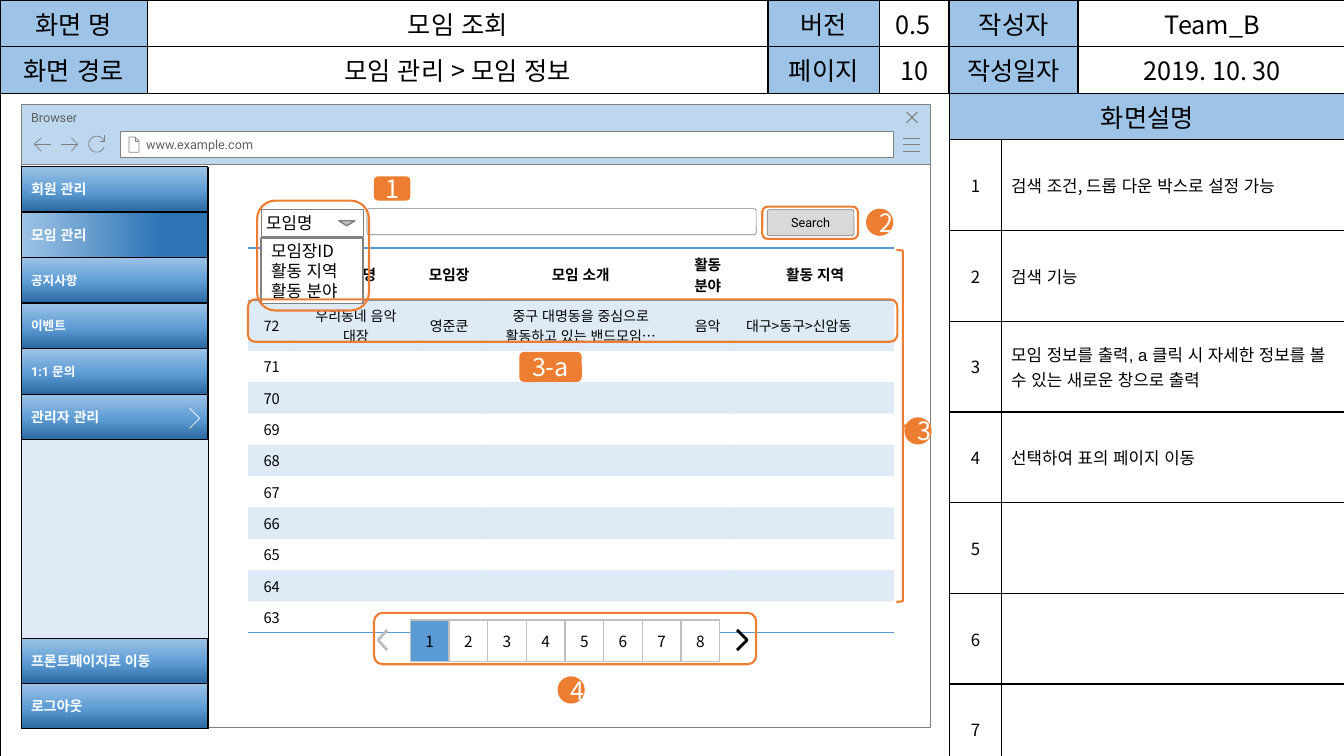
"""Builds the group lookup screen specification slide."""
from math import cos, sin, radians
from lxml.etree import SubElement
from pptx import Presentation
from pptx.dml.color import RGBColor
from pptx.enum.lang import MSO_LANGUAGE_ID as LANG
from pptx.enum.shapes import MSO_SHAPE as SHAPE
from pptx.enum.text import MSO_ANCHOR as ANCHOR, PP_ALIGN as ALIGN
from pptx.oxml.ns import qn
from pptx.util import Inches, Pt

BLACK = RGBColor(0, 0, 0)
WHITE = RGBColor(255, 255, 255)
GRAY = RGBColor(0x80, 0x80, 0x80)
SILVER = RGBColor(0xBF, 0xBF, 0xBF)
LIGHT = RGBColor(0xD9, 0xD9, 0xD9)
DARK = RGBColor(0x5F, 0x5F, 0x5F)
HEAD = RGBColor(0x9D, 0xC3, 0xE6)
SKY = RGBColor(0xBD, 0xD7, 0xEE)
PALE = RGBColor(0xDE, 0xEB, 0xF7)
BLUE = RGBColor(0x5B, 0x9B, 0xD5)
ORANGE = RGBColor(0xED, 0x7D, 0x31)
NOTO, ROBOTO, ARIAL = "Noto Sans CJK KR", "Roboto", "Arial"
NO_STYLE = "{2D5ABB26-0587-4C30-8999-92F81FD0307C}"

BASE = [["화면 명", "", "버전", "0.5", "작성자", "Team_B"],
        ["화면 경로", "", "페이지", "", "작성일자", "2019. 10. 30"]]
TITLES = [["화면 명", "모임 조회", "버전", "", "작성자", "", ""],
          ["화면 경로", "모임 관리 > 모임 정보", "페이지", "10", "작성일자", "", ""]]
NOTES = [("검색 조건, 드롭 다운 박스로 설정 가능", NOTO), ("검색 기능", NOTO),
         ("모임 정보를 출력, a 클릭 시 자세한 정보를 볼 수 있는 새로운 창으로 출력", ARIAL),
         ("선택하여 표의 페이지 이동", ARIAL), ("", NOTO), ("", NOTO), ("", NOTO)]
GROUPS = [["NO", "모임명", "모임장", "모임 소개", "활동 분야", "활동 지역", ""],
          ["72", "우리동네 음악 대장", "영준쿤", "중구 대명동을 중심으로 활동하고 있는 밴드모임…",
           "음악", "대구>동구>신암동", ""]]
GROUPS += [[str(no)] + [""] * 6 for no in range(71, 62, -1)]
MENU = [("회원 관리", 10), ("모임 관리", 10), ("공지사항", 9), ("이벤트", 9),
        ("1:1 문의", 9), ("관리자 관리", 10)]
LINKS = [("프론트페이지로 이동", 10), ("로그아웃", 10)]
CHOICES = ["모임장ID", "활동 지역", "활동 분야"]
DEEP = [(0, "2A69A2"), (48, "609ED6"), (100, "9DC3E6")]
PICKED = [(0, "2E75B6"), (25, "2E75B6"), (100, "9DC3E6")]
FRAMES = [(3.71, 6.08, 3.79, 0.51), (2.46, 2.97, 6.44, 0.42),
          (2.55, 1.99, 1.11, 1.09), (7.56, 2.05, 0.95, 0.32)]
BADGES = [("3", SHAPE.OVAL, 8.97, 4.14, 0.27, 0.27), ("4", SHAPE.OVAL, 5.53, 6.71, 0.27, 0.27),
          ("2", SHAPE.OVAL, 8.59, 2.07, 0.27, 0.27),
          ("3-a", SHAPE.ROUNDED_RECTANGLE, 5.15, 3.49, 0.62, 0.3),
          ("1", SHAPE.ROUNDED_RECTANGLE, 3.71, 1.75, 0.36, 0.24)]
ARC = [(0.96 + 0.08 * cos(radians(a)), 1.43 + 0.08 * sin(radians(a))) for a in range(20, 341, 20)]
ICONS = [(GRAY, 0.5, [[(8.96, y), (9.13, y)] for y in (1.37, 1.43, 1.5)]),
         (GRAY, 0.75, [[(9.1, 1.11), (8.99, 1.22)], [(8.99, 1.11), (9.1, 1.22)]]),
         (GRAY, 0.5, [[(1.34, 1.36), (1.34, 1.4), (1.38, 1.4)],
                      [(1.28, 1.36), (1.28, 1.51), (1.38, 1.51), (1.38, 1.4),
                       (1.34, 1.36), (1.28, 1.36)]]),
         (GRAY, 0.5, [[(0.41, 1.5), (0.34, 1.43), (0.41, 1.37)], [(0.35, 1.43), (0.51, 1.43)]]),
         (GRAY, 0.5, [[(0.71, 1.37), (0.77, 1.43), (0.71, 1.5)], [(0.77, 1.43), (0.61, 1.43)]]),
         (GRAY, 0.5, [[(1.04, 1.34), (1.04, 1.4), (0.99, 1.4)], ARC])]
ARROWS = [(BLACK, 2, [[(7.31, 6.45), (7.41, 6.35), (7.31, 6.25)]]),
          (SILVER, 2, [[(3.84, 6.25), (3.75, 6.35), (3.84, 6.45)]])]
MORE = (WHITE, 0.5, [[(1.88, 4.25), (1.98, 4.15), (1.88, 4.05)]])

deck = Presentation()
deck.slide_width, deck.slide_height = Inches(13.33), Inches(7.5)
slide = deck.slides.add_slide(deck.slide_layouts[6])
shapes = slide.shapes


def write(frame, lines, size, font=NOTO, color=BLACK, bold=False, align=ALIGN.CENTER):
    for i, line in enumerate(lines):
        para = frame.add_paragraph() if i else frame.paragraphs[0]
        para.alignment = align
        if not line:
            SubElement(para._p, qn("a:endParaRPr"), sz=str(int(size * 100)))
            continue
        run = para.add_run()
        run.text = line
        run.font.size, run.font.name, run.font.bold = Pt(size), font, bold
        run.font.color.rgb = color
        run.font.language_id = LANG.KOREAN
        SubElement(run._r.get_or_add_rPr(), qn("a:ea"), typeface=NOTO)


def paint(shape, fill, line, width):
    shape.shadow.inherit = False
    if fill is None:
        shape.fill.background()
    else:
        shape.fill.solid()
        shape.fill.fore_color.rgb = fill
    if line is None:
        shape.line.fill.background()
    else:
        shape.line.color.rgb = line
        shape.line.width = Pt(width)


def add(kind, x, y, w, h, fill=None, line=None, width=0.5, left=0.1, right=0.1, anchor=ANCHOR.MIDDLE):
    shape = shapes.add_shape(kind, Inches(x), Inches(y), Inches(w), Inches(h))
    paint(shape, fill, line, width)
    frame = shape.text_frame
    frame.word_wrap, frame.vertical_anchor = True, anchor
    frame.margin_left, frame.margin_right = Inches(left), Inches(right)
    return shape


def draw(color, width, strokes):
    pen = None
    for stroke in strokes:
        pts = [(Inches(x), Inches(y)) for x, y in stroke]
        if pen is None:
            pen = shapes.build_freeform(*pts[0], scale=1.0)
        else:
            pen.move_to(*pts[0])
        pen.add_line_segments(pts[1:], close=False)
    paint(pen.convert_to_shape(), None, color, width)


def grid(x, y, cols, rows):
    table = shapes.add_table(len(rows), len(cols), Inches(x), Inches(y),
                             Inches(sum(cols)), Inches(sum(rows))).table
    table.first_row = table.horz_banding = False
    table._tbl.tblPr.find(qn("a:tableStyleId")).text = NO_STYLE
    for col, w in zip(table.columns, cols):
        col.width = Inches(w)
    for row, h in zip(table.rows, rows):
        row.height = Inches(h)
    return table


def fill_cell(cell, text, size, fill=None, edges="LRTB", color=BLACK, alpha=100, **style):
    props = cell._tc.get_or_add_tcPr()
    for edge in edges:
        ln = SubElement(props, qn("a:ln" + edge), w=str(Pt(1)))
        SubElement(SubElement(ln, qn("a:solidFill")), qn("a:srgbClr"), val=str(color))
    cell.vertical_anchor = ANCHOR.MIDDLE
    if fill is None:
        cell.fill.background()
    else:
        cell.fill.solid()
        cell.fill.fore_color.rgb = fill
        if alpha < 100:
            tint = props.find(qn("a:solidFill")).find(qn("a:srgbClr"))
            SubElement(tint, qn("a:alpha"), val=str(alpha * 1000))
    write(cell.text_frame, [text], size, **style)


def button(text, size, y, stops=DEEP, angle=90):
    shape = add(SHAPE.RECTANGLE, 0.21, y, 1.85, 0.45, WHITE, BLACK, right=0.25)
    shape.fill.gradient()
    shape.fill.gradient_angle = angle
    ramp = shape._element.spPr.find(qn("a:gradFill")).find(qn("a:gsLst"))
    for old in list(ramp):
        ramp.remove(old)
    for pos, tint in stops:
        SubElement(SubElement(ramp, qn("a:gs"), pos=str(pos * 1000)), qn("a:srgbClr"), val=tint)
    write(shape.text_frame, [text], size, ROBOTO, WHITE, True, ALIGN.LEFT)


base = grid(-0.01, 0, [1.46, 6.16, 1.1, 0.7, 1.29, 2.65], [0.4] * 2)
for r, row in enumerate(BASE):
    for c, text in enumerate(row):
        fill_cell(base.cell(r, c), text, 18, HEAD if c in (0, 2, 4) else None)

sheet = grid(0, 0, [1.46, 6.16, 1.1, 0.7, 0.51, 0.76, 2.65], [0.41] * 3 + [0.9] * 7)
for r in range(10):
    for c in range(7):
        text, size, fill, style = "", 12, None, {}
        if r < 2:
            text, size, fill = TITLES[r][c], 18, HEAD if c in (0, 2, 4, 5) else None
        elif r == 2 and c > 3:
            text, size, fill = "화면설명" if c == 4 else "", 18, HEAD
        elif c == 4:
            text = str(r - 2)
        elif c == 5:
            text, font = NOTES[r - 3]
            style = {"font": font, "align": ALIGN.LEFT}
        fill_cell(sheet.cell(r, c), text, size, fill, **style)
for r in range(2):
    sheet.cell(r, 4).merge(sheet.cell(r, 5))
sheet.cell(2, 0).merge(sheet.cell(9, 3))
sheet.cell(2, 4).merge(sheet.cell(2, 6))
for r in range(3, 10):
    sheet.cell(r, 5).merge(sheet.cell(r, 6))

add(SHAPE.RECTANGLE, 0.21, 1.62, 9.02, 5.6, WHITE, GRAY)
roster = grid(2.46, 2.46, [0.47, 1.2, 0.65, 1.96, 0.56, 0.7, 0.87], [0.5] + [0.3] * 10)
for r, row in enumerate(GROUPS):
    for c, text in enumerate(row):
        fill_cell(roster.cell(r, c), text, 10 if r == 1 else 10.5, BLUE if r % 2 else None,
                  {0: "TB", 10: "B"}.get(r, ""), BLUE, 20, bold=r == 0,
                  align=ALIGN.LEFT if (r, c) == (1, 5) else ALIGN.CENTER)
for r in range(2):
    roster.cell(r, 5).merge(roster.cell(r, 6))

bar = add(SHAPE.RECTANGLE, 0.21, 1.04, 9.02, 0.59, SKY, GRAY, right=0.25, anchor=ANCHOR.TOP)
write(bar.text_frame, ["Browser"], 9, ROBOTO, DARK, align=ALIGN.LEFT)
site = add(SHAPE.RECTANGLE, 1.19, 1.3, 7.67, 0.26, WHITE, GRAY, left=0.26)
write(site.text_frame, ["www.example.com"], 9, ROBOTO, DARK, align=ALIGN.LEFT)
for icon in ICONS:
    draw(*icon)

add(SHAPE.LEFT_BRACE, 8.89, 2.48, 0.13, 3.49, None, ORANGE, 1.5).rotation = 180
pager = grid(4.07, 6.15, [3.07 / 8] * 8, [0.41])
for c in range(8):
    fill_cell(pager.cell(0, c), str(c + 1), 11, WHITE if c else BLUE, color=SILVER)
for arrow in ARROWS:
    draw(*arrow)

field = add(SHAPE.ROUNDED_RECTANGLE, 3.64, 2.07, 3.86, 0.26, WHITE, GRAY)
combo = add(SHAPE.RECTANGLE, 2.59, 2.08, 1.01, 0.26, WHITE, GRAY, 0.25, 0.05, 0.05)
write(combo.text_frame, ["모임명"], 12, ROBOTO, align=ALIGN.LEFT)
add(SHAPE.ISOSCELES_TRIANGLE, 3.36, 2.19, 0.16, 0.05, SILVER, GRAY, 1).rotation = 180
options = add(SHAPE.RECTANGLE, 2.59, 2.36, 1.01, 0.65, WHITE, GRAY, 1)
write(options.text_frame, CHOICES, 12, align=ALIGN.LEFT)
search = add(SHAPE.ROUNDED_RECTANGLE, 7.61, 2.08, 0.86, 0.26, LIGHT, GRAY)
write(search.text_frame, ["Search"], 9, ROBOTO)
field.adjustments[0] = search.adjustments[0] = 0.09

for box in FRAMES:
    add(SHAPE.ROUNDED_RECTANGLE, *box, None, ORANGE, 1.5)
for text, kind, *box in BADGES:
    write(add(kind, *box, ORANGE).text_frame, [text], 18, color=WHITE)

add(SHAPE.RECTANGLE, 0.21, 1.66, 1.86, 5.57, PALE, BLACK)
step = (3.91 - 1.65) / 5
for i, (text, size) in enumerate(MENU):
    look = (PICKED, 180) if i == 1 else (DEEP, 90)
    button(text, size, 1.65 + step * i, *look)
for i, (text, size) in enumerate(LINKS):
    button(text, size, 6.33 + 0.45 * i)
draw(*MORE)

deck.save("out.pptx")
